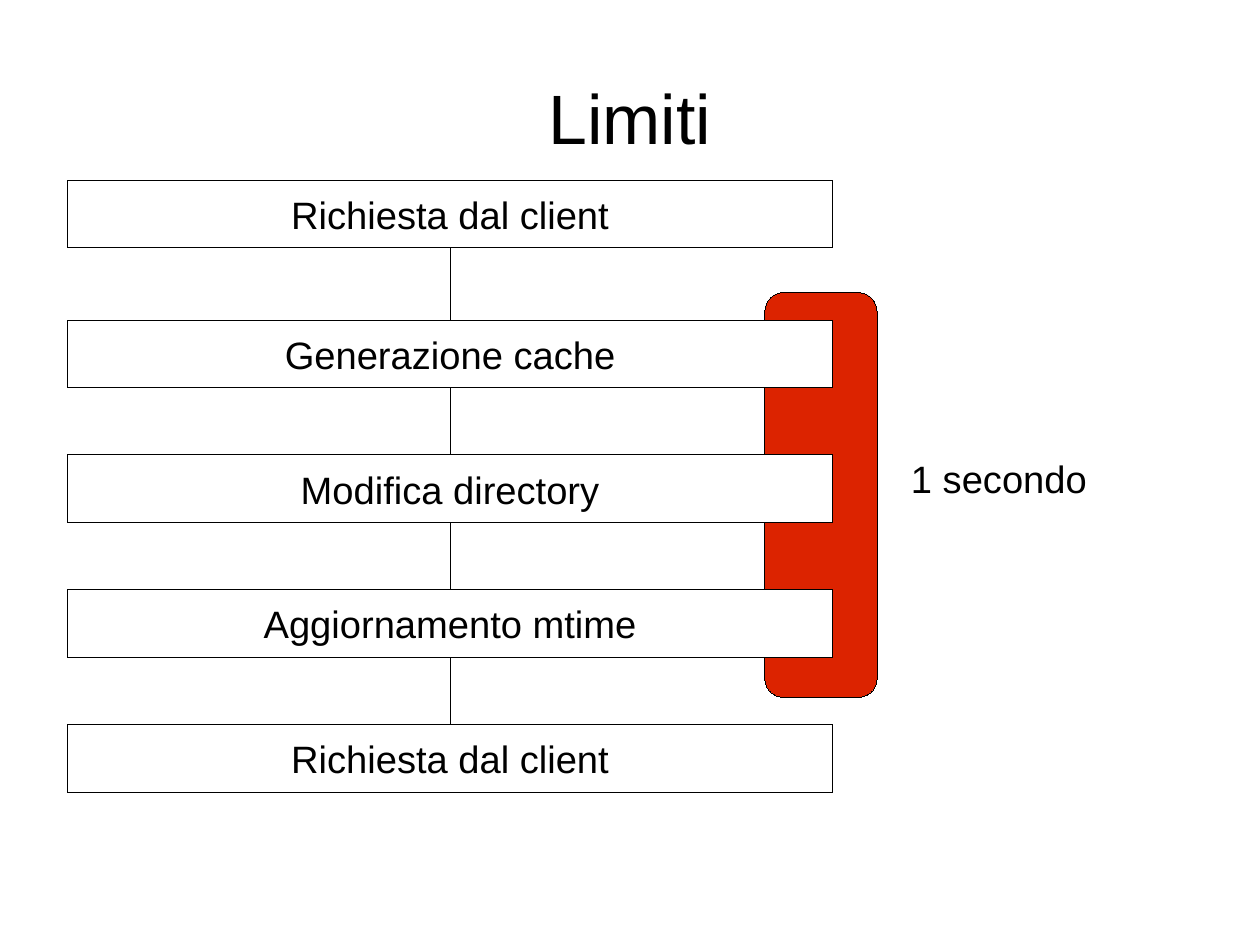
import dataclasses
import itertools

import pptx
import pptx.dml.color
import pptx.enum.shapes
import pptx.enum.text
import pptx.oxml.xmlchemy
import pptx.util
from pptx.enum.shapes import MSO_SHAPE
from pptx.enum.text import MSO_ANCHOR, PP_ALIGN
from pptx.util import Pt


@dataclasses.dataclass(frozen=True)
class Theme:
    font: str = "Arial"
    ink: str = "000000"
    paper: str = "FFFFFF"
    alert: str = "DC2300"
    title_size: float = 44
    body_size: float = 24
    hairline: float = 0.01


THEME = Theme()

STEP_LEFT, STEP_WIDTH, STEP_HEIGHT = 42.5, 482, 42.5
FIRST_TOP, SECOND_TOP, STEP_PITCH = 113.4, 201.6, 85
STEPS = [
    "Richiesta dal client",
    "Generazione cache",
    "Modifica directory",
    "Aggiornamento mtime",
    "Richiesta dal client",
]


def color(value):
    return pptx.dml.color.RGBColor.from_string(value)


def style_line(line):
    line.color.rgb = color(THEME.ink)
    line.width = Pt(THEME.hairline)


def write_text(shape, text, size, alignment, anchor):
    frame = shape.text_frame
    frame.vertical_anchor = anchor
    paragraph = frame.paragraphs[0]
    paragraph.alignment = alignment
    run = paragraph.add_run()
    run.text = text
    run.font.name = THEME.font
    run.font.size = Pt(size)
    run.font.color.rgb = color(THEME.ink)


def add_block(slide, kind, fill, left, top, width, height):
    shape = slide.shapes.add_shape(kind, Pt(left), Pt(top), Pt(width), Pt(height))
    shape.shadow.inherit = False
    shape.fill.solid()
    shape.fill.fore_color.rgb = color(fill)
    style_line(shape.line)
    return shape


def add_title(slide, text):
    title = slide.shapes.add_textbox(Pt(39.6), Pt(23.8), Pt(714.2), Pt(99.4))
    frame = title.text_frame
    frame.word_wrap = True
    frame.margin_left = frame.margin_right = frame.margin_top = frame.margin_bottom = 0
    write_text(title, text, THEME.title_size, PP_ALIGN.CENTER, MSO_ANCHOR.MIDDLE)


def add_step(slide, text, top):
    step = add_block(slide, MSO_SHAPE.RECTANGLE, THEME.paper,
                     STEP_LEFT, top, STEP_WIDTH, STEP_HEIGHT)
    write_text(step, text, THEME.body_size, PP_ALIGN.CENTER, MSO_ANCHOR.MIDDLE)
    return step


def link_steps(slide, upper, lower):
    """Join the top of the lower step to the bottom of the upper one."""
    connector = slide.shapes.add_connector(
        pptx.enum.shapes.MSO_CONNECTOR.STRAIGHT, 0, 0, 0, 0)
    connector.begin_connect(lower, 0)
    connector.end_connect(upper, 2)
    style_line(connector.line)
    properties = connector.element.spPr
    properties.append(pptx.oxml.xmlchemy.OxmlElement("a:effectLst"))


def add_duration(slide, text):
    label = slide.shapes.add_textbox(Pt(566.8), Pt(283.3), Pt(125.3), Pt(36.7))
    label.text_frame.word_wrap = False
    write_text(label, text, THEME.body_size, PP_ALIGN.LEFT, MSO_ANCHOR.TOP)


def main():
    presentation = pptx.Presentation()
    presentation.slide_width = Pt(793.7)
    presentation.slide_height = Pt(595.28)
    slide = presentation.slides.add_slide(presentation.slide_layouts[6])

    add_block(slide, MSO_SHAPE.ROUNDED_RECTANGLE, THEME.alert, 481.8, 184.3, 70.7, 255)
    add_title(slide, "Limiti")
    tops = [FIRST_TOP] + [SECOND_TOP + STEP_PITCH * i for i in range(len(STEPS) - 1)]
    steps = [add_step(slide, text, top) for text, top in zip(STEPS, tops)]
    for upper, lower in itertools.pairwise(steps):
        link_steps(slide, upper, lower)
    add_duration(slide, "1 secondo")

    presentation.save("out.pptx")


if __name__ == "__main__":
    main()
